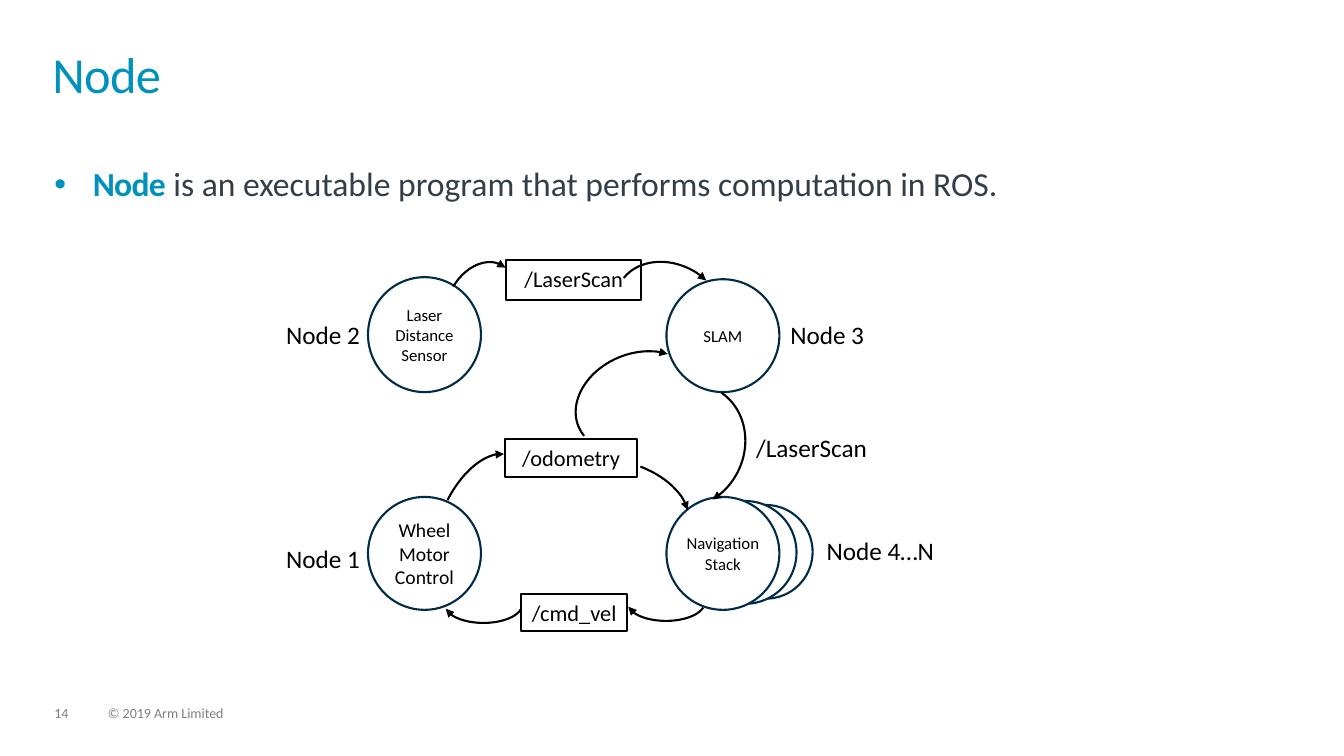
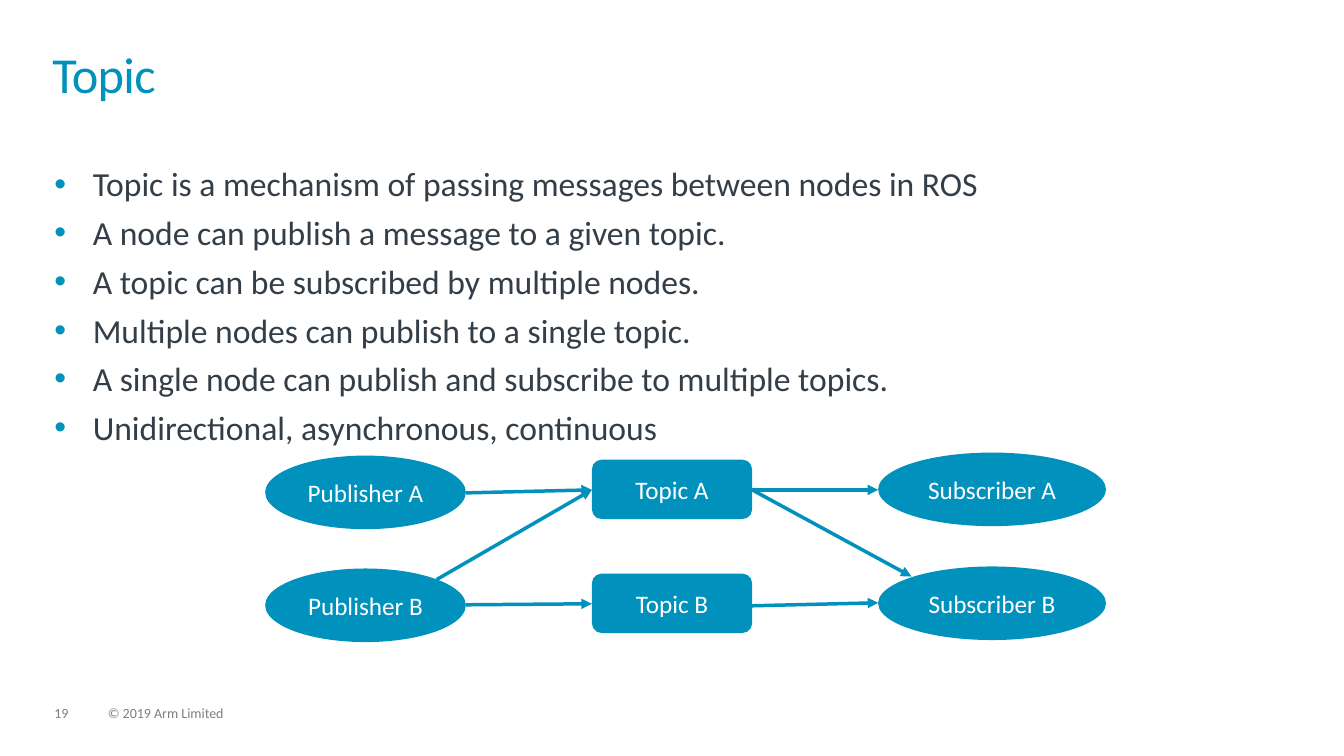
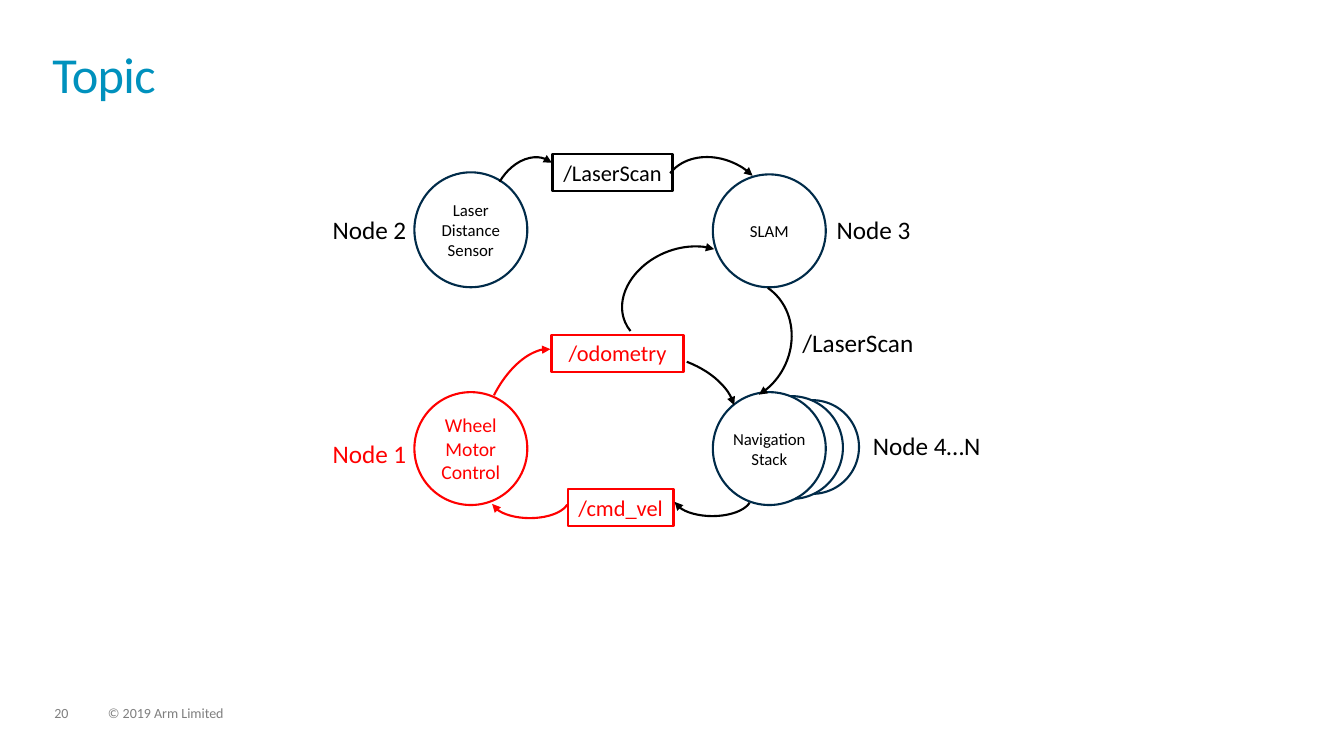
from dataclasses import dataclass

from lxml.etree import SubElement
from pptx import Presentation
from pptx.dml.color import RGBColor
from pptx.enum.shapes import MSO_CONNECTOR as Conn, MSO_SHAPE as Geo
from pptx.enum.text import MSO_ANCHOR as Anchor, MSO_AUTO_SIZE as Fit, PP_ALIGN as Align
from pptx.oxml.ns import qn
from pptx.util import Inches, Pt

FONT = "Calibri"
BLUE, NAVY, SLATE, GREY = "0091BD", "002B49", "333E48", "7F7F7F"
BLACK, WHITE, RED = "000000", "FFFFFF", "FF0000"


@dataclass
class Node:
    text: str
    x: float
    y: float
    w: float
    h: float
    size: int = 12
    inset: bool = True
    fill: str | None = None
    hot: bool = False


@dataclass
class Label:
    text: str
    x: float
    y: float
    w: float
    hot: bool = False


@dataclass
class Arc:
    x: float
    y: float
    w: float
    h: float
    turn: float
    start: float
    end: float
    hot: bool = False


@dataclass
class Block:
    text: str
    x: float
    y: float
    w: float
    h: float
    geo: Geo


NODES = [
    Node("", 7.13, 5.01, 0.93, 0.93, fill=WHITE),
    Node("", 6.88, 4.97, 1.02, 1.02, fill=WHITE),
    Node("Wheel Motor\nControl", 3.65, 4.93, 1.12, 1.12, size=14, hot=True),
    Node("Laser Distance Sensor", 3.65, 2.75, 1.12, 1.14, inset=False),
    Node("SLAM", 6.61, 2.77, 1.12, 1.12),
    Node("Navigation Stack", 6.61, 4.93, 1.12, 1.12, inset=False, fill=WHITE),
]
TOPICS = [
    Node("/cmd_vel", 5.17, 5.89, 1.05, 0.37, size=16, hot=True),
    Node("/odometry", 5.01, 4.36, 1.31, 0.37, size=16, hot=True),
]
LABELS = [
    Label("/LaserScan", 7.4, 4.24, 1.31),
    Label("Node 2", 2.74, 3.12, 0.94),
    Label("Node 3", 7.74, 3.12, 0.94),
    Label("Node 4…N", 8.1, 5.26, 1.28),
    Label("Node 1", 2.74, 5.34, 0.94, hot=True),
]
ARCS = [
    Arc(4.44, 2.58, 0.66, 0.9, 26.1, 112.8, 166.24),
    Arc(6.2, 3.87, 1.25, 1.11, 114, 112.8, 186.87),
    Arc(6.22, 5.79, 0.77, 0.37, 180, 112.8, 211.98),
    Arc(4.76, 4.53, 2.08, 1.3, 0, 189.02, 211.98),
    Arc(5.69, 3.51, 1.26, 0.96, 337.2, 102.22, 195.12),
    Arc(4.09, 4.76, 1.37, 0.76, 296.1, 163.19, 211.98, hot=True),
    Arc(4.41, 5.81, 0.77, 0.37, 180, 112.8, 211.98, hot=True),
    Arc(6.09, 2.62, 1.1, 0.89, 26.1, 112.8, 177.74),
]
BLOCKS = [
    Block("Publisher A", 2.63, 4.52, 1.99, 0.73, Geo.OVAL),
    Block("Publisher B", 2.63, 5.64, 1.99, 0.73, Geo.OVAL),
    Block("Topic A", 5.87, 4.56, 1.59, 0.59, Geo.ROUNDED_RECTANGLE),
    Block("Topic B", 5.87, 5.69, 1.59, 0.59, Geo.ROUNDED_RECTANGLE),
    Block("Subscriber A", 8.71, 4.49, 2.26, 0.73, Geo.OVAL),
    Block("Subscriber B", 8.71, 5.62, 2.26, 0.73, Geo.OVAL),
]
LINKS = [
    (4.62, 4.89, 5.87, 4.86),
    (4.62, 6, 5.87, 5.99),
    (4.33, 5.75, 5.87, 4.86),
    (7.46, 4.86, 8.71, 4.86),
    (7.46, 6.01, 8.71, 5.98),
    (7.46, 4.86, 9.04, 5.72),
]
FACTS = [
    "Topic is a mechanism of passing messages between nodes in ROS",
    "A node can publish a message to a given topic.",
    "A topic can be subscribed by multiple nodes.",
    "Multiple nodes can publish to a single topic.",
    "A single node can publish and subscribe to multiple topics.",
    "Unidirectional, asynchronous, continuous",
]


def tint(color, code: str) -> None:
    color.rgb = RGBColor.from_string(code)


def ink(font, size: int, code: str, bold: bool = False) -> None:
    font.name = FONT
    font.size = Pt(size)
    font.bold = bold
    tint(font.color, code)


def strip(frame) -> None:
    frame.margin_left = frame.margin_right = 0
    frame.margin_top = frame.margin_bottom = 0


def move(shape, x: float, y: float, w: float, h: float) -> None:
    shape.left, shape.top = Inches(x), Inches(y)
    shape.width, shape.height = Inches(w), Inches(h)


def write(frame, text: str, size: int, code: str, align=Align.LEFT) -> None:
    frame.text = text
    for para in frame.paragraphs:
        para.alignment = align
        ink(para.font, size, code)


def paint(shape, fill: str | None, line: str | None) -> None:
    shape.shadow.inherit = False
    if fill:
        shape.fill.solid()
        tint(shape.fill.fore_color, fill)
    else:
        shape.fill.background()
    if line:
        tint(shape.line.color, line)
        shape.line.width = Pt(1.5)
    else:
        shape.line.fill.background()


def tip(line) -> None:
    SubElement(line._get_or_add_ln(), qn("a:tailEnd"), type="triangle")


def note(slide, text: str, x: float, w: float) -> None:
    box = slide.shapes.add_textbox(Inches(x), Inches(7.01), Inches(w), Inches(0.15))
    frame = box.text_frame
    strip(frame)
    frame.word_wrap = True
    write(frame, text, 10, GREY)
    frame.paragraphs[0].line_spacing = 0.9


def start(deck, kind: int, title: str, page: int):
    slide = deck.slides.add_slide(deck.slide_layouts[kind])
    head = slide.shapes.title
    move(head, 0.52, 0.52, 12.28, 0.72)
    frame = head.text_frame
    strip(frame)
    frame.auto_size = Fit.NONE
    frame.vertical_anchor = Anchor.TOP
    write(frame, title, 36, BLUE)
    para = frame.paragraphs[0]
    para.line_spacing = 0.85
    para._p.get_or_add_pPr().get_or_add_defRPr().set("spc", "-50")
    note(slide, str(page), 0.54, 0.34)
    note(slide, "© 2019 Arm Limited", 1.07, 1.71)
    return slide


def bullets(slide, items: list[str], w: float, h: float):
    body = slide.placeholders[1]
    move(body, 0.54, 1.62, w, h)
    frame = body.text_frame
    strip(frame)
    frame.auto_size = Fit.NONE
    frame.vertical_anchor = Anchor.TOP
    frame.text = "\n".join(items)
    for rank, para in enumerate(frame.paragraphs):
        props = para._p.get_or_add_pPr()
        props.set("marL", str(Inches(0.38)))
        props.set("indent", str(Inches(-0.38)))
        SubElement(SubElement(props, qn("a:buClr")), qn("a:srgbClr"), val=BLUE)
        SubElement(props, qn("a:buFont"), typeface="Arial")
        SubElement(props, qn("a:buChar"), char="•")
        para.space_before = Pt(6 if rank else 0)
        ink(para.font, 24, SLATE)
    return frame


def place(slide, geo: Geo, x: float, y: float, w: float, h: float):
    return slide.shapes.add_shape(geo, Inches(x), Inches(y), Inches(w), Inches(h))


def graph(slide, scan: Node, hot: str, dx: float = 0, dy: float = 0) -> None:
    for node in NODES:
        ring = place(slide, Geo.OVAL, node.x + dx, node.y + dy, node.w, node.h)
        paint(ring, node.fill, hot if node.hot and hot != BLACK else NAVY)
        if not node.inset:
            strip(ring.text_frame)
        if node.text:
            write(ring.text_frame, node.text, node.size, hot if node.hot else BLACK, Align.CENTER)
    for topic in [*TOPICS, scan]:
        code = hot if topic.hot else BLACK
        box = place(slide, Geo.RECTANGLE, topic.x + dx, topic.y + dy, topic.w, topic.h)
        paint(box, None, code)
        box.text_frame.vertical_anchor = Anchor.TOP
        write(box.text_frame, topic.text, topic.size, code, Align.CENTER)
    for label in LABELS:
        box = slide.shapes.add_textbox(
            Inches(label.x + dx), Inches(label.y + dy), Inches(label.w), Inches(0.4))
        box.text_frame.word_wrap = False
        box.text_frame.auto_size = Fit.SHAPE_TO_FIT_TEXT
        write(box.text_frame, label.text, 18, hot if label.hot else BLACK)
    for arc in ARCS:
        curve = place(slide, Geo.ARC, arc.x + dx, arc.y + dy, arc.w, arc.h)
        curve.rotation = arc.turn
        curve.adjustments[0], curve.adjustments[1] = arc.start, arc.end
        paint(curve, None, hot if arc.hot else BLACK)
        tip(curve.line)


def flow(slide) -> None:
    for block in BLOCKS:
        shape = place(slide, block.geo, block.x, block.y, block.w, block.h)
        paint(shape, BLUE, None)
        write(shape.text_frame, block.text, 18, WHITE, Align.CENTER)
    for link in LINKS:
        line = slide.shapes.add_connector(Conn.STRAIGHT, *map(Inches, link))
        tint(line.line.color, BLUE)
        line.line.width = Pt(2.5)
        tip(line.line)
        SubElement(line._element.spPr, qn("a:effectLst"))


def main() -> None:
    deck = Presentation()
    deck.slide_width, deck.slide_height = Inches(13.33), Inches(7.5)

    slide = start(deck, 1, "Node", 14)
    frame = bullets(slide, ["Node"], 12.23, 0.79)
    para = frame.paragraphs[0]
    term = para.runs[0]
    ink(term.font, 24, BLUE, bold=True)
    term._r.get_or_add_rPr().set("spc", "-50")
    para.add_run().text = " is an executable program that performs computation in ROS."
    graph(slide, Node("/LaserScan", 5.02, 2.58, 1.34, 0.4, size=16), BLACK)

    slide = start(deck, 1, "Topic", 19)
    bullets(slide, FACTS, 12.44, 4.47)
    flow(slide)

    slide = start(deck, 5, "Topic", 20)
    graph(slide, Node("/LaserScan", 5.02, 2.57, 1.19, 0.37, size=16), RED, 0.46, -1.04)

    deck.save("out.pptx")


if __name__ == "__main__":
    main()
